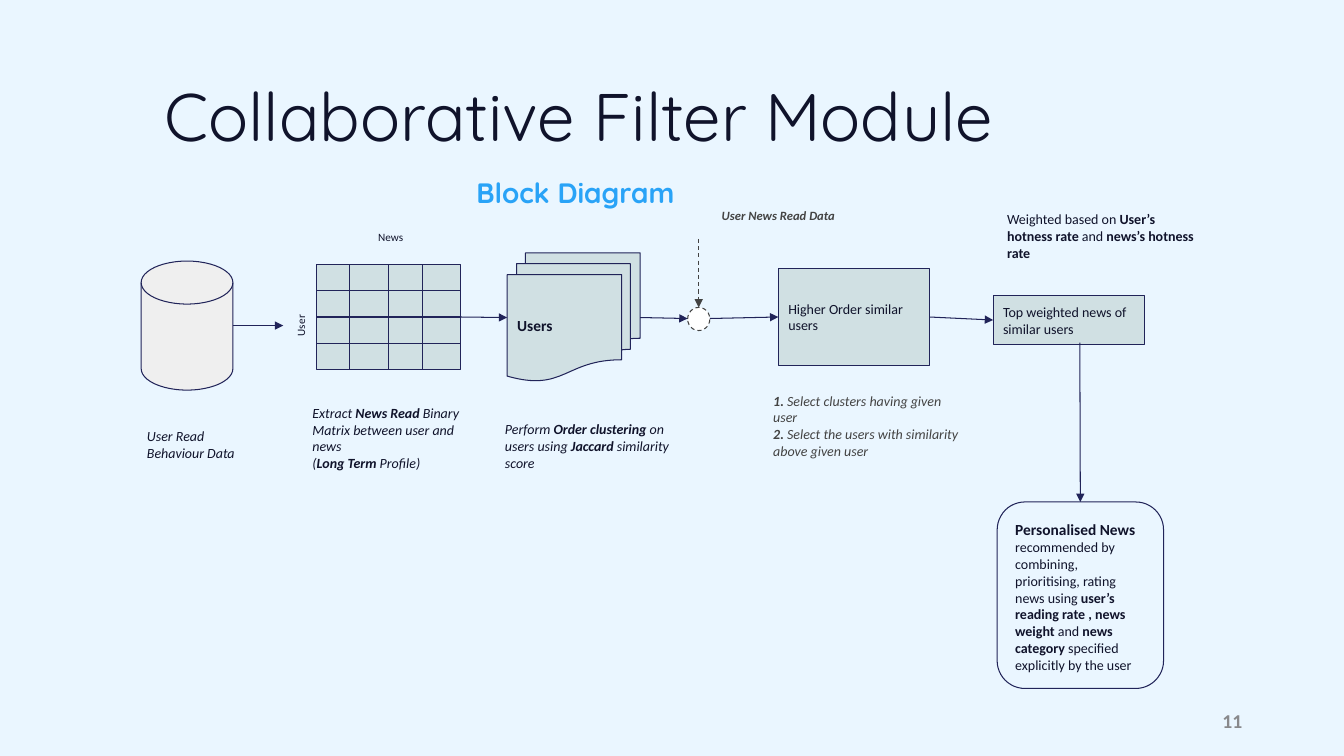
from lxml import etree
from pptx import Presentation
from pptx.dml.color import RGBColor
from pptx.enum.dml import MSO_LINE
from pptx.enum.shapes import MSO_CONNECTOR, MSO_SHAPE
from pptx.enum.text import MSO_ANCHOR, MSO_AUTO_SIZE, PP_ALIGN
from pptx.oxml.ns import qn
from pptx.util import Emu, Pt

PX = 9144  # 100 px to the inch
BACKGROUND = RGBColor(0xEA, 0xF6, 0xFF)
INK = RGBColor(0x10, 0x13, 0x2B)
NAVY = RGBColor(0x21, 0x24, 0x59)
GREY = RGBColor(0x43, 0x43, 0x43)
PALE_GREY = RGBColor(0xEF, 0xEF, 0xEF)
TEAL = RGBColor(0xD0, 0xE0, 0xE3)
WHITE = RGBColor(0xFF, 0xFF, 0xFF)
BLUE = RGBColor(0x29, 0xA3, 0xF7)
NUMBER_GREY = RGBColor(0x88, 0x88, 0x8B)
BODY_FONT, TITLE_FONT = "Calibri", "Quicksand"
STRAIGHT, DASH = MSO_CONNECTOR.STRAIGHT, MSO_LINE.DASH
TOP, MIDDLE = MSO_ANCHOR.TOP, MSO_ANCHOR.MIDDLE
LEFT, CENTER, RIGHT = PP_ALIGN.LEFT, PP_ALIGN.CENTER, PP_ALIGN.RIGHT
SITE_TOP, SITE_LEFT, SITE_RIGHT = 0, 1, 3


def px(*lengths):
    return [Emu(round(length * PX)) for length in lengths]


def write(shape, text, size=10, color=INK, bold=False, italic=False, font=BODY_FONT,
          align=LEFT, anchor=TOP, inset=10):
    """Fill a shape with text; parts between asterisks are bold."""
    frame = shape.text_frame
    frame.word_wrap = True
    frame.auto_size = MSO_AUTO_SIZE.NONE
    frame.vertical_anchor = anchor
    frame.margin_left, frame.margin_right = px(10, 10)
    frame.margin_top, frame.margin_bottom = px(inset, inset)
    for index, line in enumerate(text.split("\n")):
        paragraph = frame.paragraphs[0] if index == 0 else frame.add_paragraph()
        paragraph.alignment = align
        for part, words in enumerate(line.split("*")):
            if not words:
                continue
            run = paragraph.add_run()
            run.text = words
            run.font.name, run.font.size = font, Pt(size)
            run.font.bold = bold or part % 2 == 1
            run.font.italic = italic
            run.font.color.rgb = color


def add_label(slide, box, text, **style):
    label = slide.shapes.add_textbox(*px(*box))
    write(label, text, **style)
    return label


def add_block(slide, kind, box, fill=TEAL, line=NAVY):
    block = slide.shapes.add_shape(kind, *px(*box))
    block.shadow.inherit = False
    block.fill.solid()
    block.fill.fore_color.rgb = fill
    block.line.color.rgb = line
    block.line.width = Pt(0.75)
    return block


def add_line(slide, start, end, color=NAVY, arrow=True, source=None, target=None):
    """source and target are (shape, connection site) pairs."""
    line = slide.shapes.add_connector(STRAIGHT, *px(*start, *end))
    if source:
        line.begin_connect(*source)
    if target:
        line.end_connect(*target)
    line.line.color.rgb = color
    line.line.width = Pt(0.75)
    properties = line._element.spPr
    if arrow:
        etree.SubElement(line.line._get_or_add_ln(), qn("a:tailEnd"), type="triangle")
    etree.SubElement(properties, qn("a:effectLst"))
    return line


def add_headings(slide, left, top):
    title = slide.shapes.title
    title.left, title.top, title.width, title.height = px(left, top, 915, 63)
    write(title, "Collaborative Filter Module", size=48, font=TITLE_FONT, inset=5)
    title.text_frame.paragraphs[0].line_spacing = 0.75
    add_label(slide, (left + 241, top + 82, 285, 44), "Block Diagram", size=20, color=BLUE,
              bold=True, font=TITLE_FONT, align=RIGHT, inset=5)


def add_data_store(slide, left, top, width, height):
    add_block(slide, MSO_SHAPE.FLOWCHART_MAGNETIC_DISK, (left, top, width, height), PALE_GREY)
    add_label(slide, (left - 4, top + 155, 126, 54), "User Read Behaviour Data", italic=True)
    middle = top + height / 2
    add_line(slide, (left + width, middle), (left + width + 50, middle))


def add_matrix(slide, left, top, width, height):
    matrix = add_block(slide, MSO_SHAPE.RECTANGLE, (left, top, width, height))
    for offset in (33, 71, 105):
        add_line(slide, (left + offset, top), (left + offset, top + height), arrow=False)
    for row in range(1, 4):
        row_top = top + row * height / 4
        add_line(slide, (left, row_top), (left + width, row_top), arrow=False)
    user_label = add_label(slide, (left - 59, top + 39, 97, 44), "User", size=8, align=CENTER)
    user_label.rotation = 270
    add_label(slide, (left + 38, top - 43, 71, 63), "News", size=8, align=CENTER)
    add_label(slide, (left - 14, top + 129, 177, 88),
              "Extract* News Read* Binary Matrix between user and news\n(*Long Term* Profile)",
              italic=True)
    return matrix


def add_clusters(slide, left, top, width, height):
    users = add_block(slide, MSO_SHAPE.FLOWCHART_MULTIDOCUMENT, (left, top, width, height))
    write(users, "Users", size=11, bold=True, anchor=MIDDLE)
    add_label(slide, (left - 12, top + 156, 189, 71),
              "Perform *Order clustering* on users using *Jaccard* similarity score", italic=True)


def add_junction(slide, left, top, width, height):
    junction = add_block(slide, MSO_SHAPE.OVAL, (left, top, width, height), WHITE, GREY)
    junction.line.dash_style = DASH
    center = left + width / 2
    feed = add_line(slide, (center, top - 68), (center, top), GREY)
    feed.line.dash_style = DASH
    add_label(slide, (left + 24, top - 109, 170, 35), "User News Read Data",
              size=9, color=GREY, bold=True, italic=True)


def add_similar_users(slide, left, top, width, height):
    block = add_block(slide, MSO_SHAPE.RECTANGLE, (left, top, width, height))
    write(block, "Higher Order similar users", anchor=MIDDLE)
    add_label(slide, (left - 15, top + 113, 212, 88),
              "*1. *Select clusters having given user\n"
              "*2. *Select the users with similarity above given user", color=GREY, italic=True)
    return block


def add_top_news(slide, left, top, width, height):
    block = add_block(slide, MSO_SHAPE.RECTANGLE, (left, top, width, height))
    write(block, "Top weighted news of similar users", anchor=MIDDLE)
    add_label(slide, (left + 4, top - 94, 212, 71),
              "Weighted based on *User’s hotness rate* and* news’s hotness rate*")
    return block


def add_result(slide, left, top, width, height):
    block = add_block(slide, MSO_SHAPE.ROUNDED_RECTANGLE, (left, top, width, height), BACKGROUND)
    write(block, "*Personalised News* recommended by combining, prioritising, rating news using "
                 "*user’s reading rate , news weight* and *news category *"
                 "specified explicitly by the user")
    block.text_frame.paragraphs[0].runs[0].font.size = Pt(11)
    return block


def main():
    presentation = Presentation()
    presentation.slide_width, presentation.slide_height = px(1333, 750)
    slide = presentation.slides.add_slide(presentation.slide_layouts[5])
    slide.background.fill.solid()
    slide.background.fill.fore_color.rgb = BACKGROUND

    # Headings and page number
    add_headings(slide, 153, 87)
    add_label(slide, (942, 695, 300, 40), "11", size=14, color=NUMBER_GREY, bold=True,
              align=RIGHT, anchor=MIDDLE, inset=5)

    # Stages from left to right
    add_data_store(slide, 140, 259, 91, 128)
    matrix = add_matrix(slide, 314, 262, 143, 105)
    add_clusters(slide, 503, 251, 132, 127)
    add_junction(slide, 682, 305, 22, 23)
    similar_users = add_similar_users(slide, 772, 266, 150, 97)
    top_news = add_top_news(slide, 985, 293, 150, 49)
    result = add_result(slide, 989, 498, 165, 185)

    # Flow between the stages
    add_line(slide, (457, 315), (503, 315), source=(matrix, SITE_RIGHT))
    add_line(slide, (635, 315), (682, 316))
    add_line(slide, (704, 316), (772, 315), target=(similar_users, SITE_LEFT))
    add_line(slide, (922, 315), (985, 317), source=(similar_users, SITE_RIGHT),
             target=(top_news, SITE_LEFT))
    add_line(slide, (1071, 340), (1071, 498), target=(result, SITE_TOP))

    presentation.save("out.pptx")


if __name__ == "__main__":
    main()
